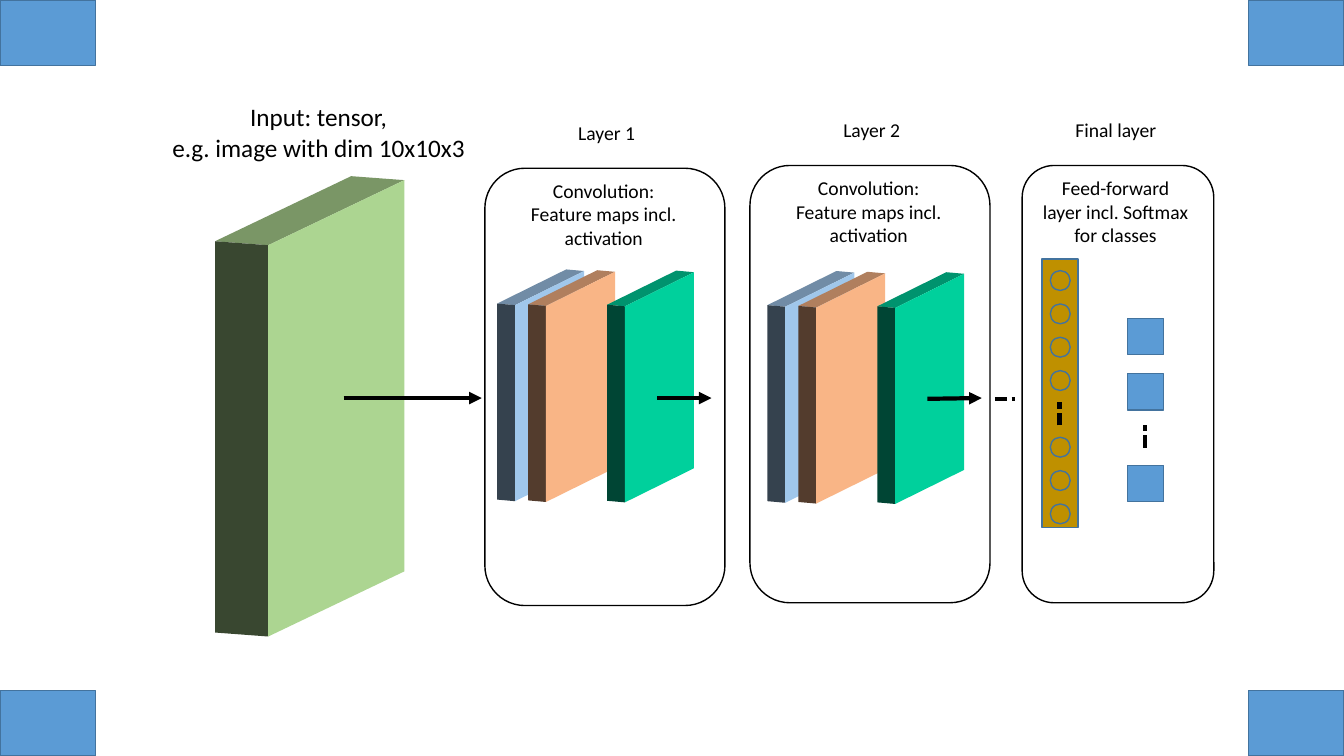
"""Builds a slide showing a convolutional network from input tensor to classes."""
from dataclasses import dataclass

from lxml import etree
from pptx import Presentation
from pptx import slide as sl
from pptx.dml import color
from pptx.enum import dml, shapes, text
from pptx.oxml import ns
from pptx.util import Cm, Pt

SLIDE_WIDTH, SLIDE_HEIGHT = 33.87, 19.05
CORNER_WIDTH, CORNER_HEIGHT = 2.41, 1.65
BLUE, BLUE_EDGE, BLACK = "5B9BD5", "43739E", "000000"
CONVOLUTION = "Convolution:\nFeature maps incl.\nactivation"


@dataclass
class Slab:
    left: float
    top: float
    colour: str
    depth: float = 0.45
    drop: float = 0.04
    face: float = 1.74
    rise: float = 0.86
    height: float = 4.94


@dataclass
class Panel:
    left: float
    top: float
    width: float
    title: str
    note: str
    title_shift: float = 0.71
    note_shift: float = 0.48


@dataclass
class Line:
    start: tuple[float, float]
    end: tuple[float, float]
    dotted: bool = False


INPUT = Slab(5.42, 6.08, "A9D18E", 1.34, 0.1, 3.43, 1.64, 9.86)
FEATURE_MAPS = [Slab(12.53, 7.65, "9DC3E6"), Slab(13.31, 7.67, "F4B183"), Slab(15.3, 7.68, "00CC99")]
LAYER_SHIFTS = [(0, 0), (6.81, 0.04)]
PANELS = [
    Panel(12.22, 4.24, 6.05, "Layer 1", CONVOLUTION),
    Panel(18.9, 4.17, 6.05, "Layer 2", CONVOLUTION),
    Panel(25.76, 4.17, 4.83, "Final layer", "Feed-forward\nlayer incl. Softmax\nfor classes", 0, -0.16),
]
LINES = [
    Line((8.66, 10.03), (12.14, 10.03)),
    Line((16.56, 10.03), (17.93, 10.03)),
    Line((23.37, 10.05), (24.74, 10.03)),
    Line((25.07, 10.06), (25.58, 10.06), dotted=True),
    Line((26.7, 10.72), (26.7, 10.13), dotted=True),
    Line((28.85, 11.28), (28.85, 10.72), dotted=True),
]


def rgb(value: str) -> color.RGBColor:
    return color.RGBColor.from_string(value)


def shade(value: str, factor: float) -> str:
    parts = [int(value[i:i + 2], 16) for i in (0, 2, 4)]
    return "".join(f"{min(255, round(part * factor)):02X}" for part in parts)


def paint(shape, fill: str | None = None, line: str | None = None) -> None:
    shape.shadow.inherit = False
    if fill:
        shape.fill.solid()
        shape.fill.fore_color.rgb = rgb(fill)
    else:
        shape.fill.background()
    if line:
        shape.line.color.rgb = rgb(line)
        shape.line.width = Pt(1)
    else:
        shape.line.fill.background()


def add_box(slide: sl.Slide, left: float, top: float, width: float, height: float,
            kind=shapes.MSO_SHAPE.RECTANGLE, fill: str | None = None, line: str = BLUE_EDGE) -> None:
    shape = slide.shapes.add_shape(kind, Cm(left), Cm(top), Cm(width), Cm(height))
    paint(shape, fill, line)


def add_text(slide: sl.Slide, content: str, *, left: float, top: float, width: float,
             height: float, size: int = 14) -> None:
    frame = slide.shapes.add_textbox(Cm(left), Cm(top), Cm(width), Cm(height)).text_frame
    frame.word_wrap = True
    frame.text = content
    for paragraph in frame.paragraphs:
        paragraph.alignment = text.PP_ALIGN.CENTER
        for run in paragraph.runs:
            run.font.name = "Calibri"
            run.font.size = Pt(size)
            run.font.color.rgb = rgb(BLACK)


def add_face(slide: sl.Slide, points: list[tuple[float, float]], fill: str) -> None:
    corners = [(Cm(x), Cm(y)) for x, y in points]
    builder = slide.shapes.build_freeform(*corners[0])
    builder.add_line_segments(corners[1:], close=True)
    paint(builder.convert_to_shape(), fill)


def add_slab(slide: sl.Slide, slab: Slab, shift: tuple[float, float] = (0, 0)) -> None:
    left, top = slab.left + shift[0], slab.top + shift[1]
    edge, edge_top = left + slab.depth, top + slab.drop
    right, right_top = edge + slab.face, edge_top - slab.rise
    bottom = edge_top + slab.height
    add_face(slide, [(left, top), (left + slab.face, top - slab.rise), (right, right_top),
                     (edge, edge_top)], shade(slab.colour, 0.72))
    add_face(slide, [(left, top), (edge, edge_top), (edge, bottom),
                     (left, top + slab.height)], shade(slab.colour, 0.34))
    add_face(slide, [(edge, edge_top), (right, right_top), (right, right_top + slab.height),
                     (edge, bottom)], shade(slab.colour, 1.02))


def add_line(slide: sl.Slide, line: Line) -> None:
    ends = [Cm(value) for value in (*line.start, *line.end)]
    connector = slide.shapes.add_connector(shapes.MSO_CONNECTOR.STRAIGHT, *ends)
    connector.line.color.rgb = rgb(BLACK)
    connector.line.width = Pt(3)
    if line.dotted:
        connector.line.dash_style = dml.MSO_LINE.SQUARE_DOT
    else:
        etree.SubElement(connector.line._get_or_add_ln(), ns.qn("a:tailEnd"), type="triangle")
    etree.SubElement(connector._element.spPr, ns.qn("a:effectLst"))


def add_panel(slide: sl.Slide, panel: Panel) -> None:
    add_box(slide, panel.left, panel.top, panel.width, 11.02,
            kind=shapes.MSO_SHAPE.ROUNDED_RECTANGLE, line=BLACK)
    add_text(slide, panel.title, left=panel.left + panel.title_shift, top=panel.top - 1.32,
             width=4.72, height=0.86)
    add_text(slide, panel.note, left=panel.left + panel.note_shift, top=panel.top + 0.14,
             width=5.03, height=2.06)


def add_final_layer(slide: sl.Slide) -> None:
    add_box(slide, 26.26, 6.53, 0.91, 6.76, fill="BF9000")
    for row in (0, 1, 2, 3, 5, 6, 7):
        add_box(slide, 26.47, 6.82 + 0.84 * row, 0.5, 0.5, kind=shapes.MSO_SHAPE.OVAL)
    for top in (8.03, 9.42, 11.73):
        add_box(slide, 28.42, top, 0.91, 0.91, fill=BLUE)


def main() -> None:
    presentation = Presentation()
    presentation.slide_width, presentation.slide_height = Cm(SLIDE_WIDTH), Cm(SLIDE_HEIGHT)
    slide = presentation.slides.add_slide(presentation.slide_layouts[6])
    for left in (0, SLIDE_WIDTH - CORNER_WIDTH):
        for top in (0, SLIDE_HEIGHT - CORNER_HEIGHT):
            add_box(slide, left, top, CORNER_WIDTH, CORNER_HEIGHT, fill=BLUE)
    for panel in PANELS:
        add_panel(slide, panel)
    add_text(slide, "Input: tensor,\ne.g. image with dim 10x10x3", left=4.04, top=2.44,
             width=7.98, height=1.8, size=18)
    add_slab(slide, INPUT)
    for shift in LAYER_SHIFTS:
        for slab in FEATURE_MAPS:
            add_slab(slide, slab, shift)
    add_final_layer(slide)
    for line in LINES:
        add_line(slide, line)
    presentation.save("out.pptx")


if __name__ == "__main__":
    main()
